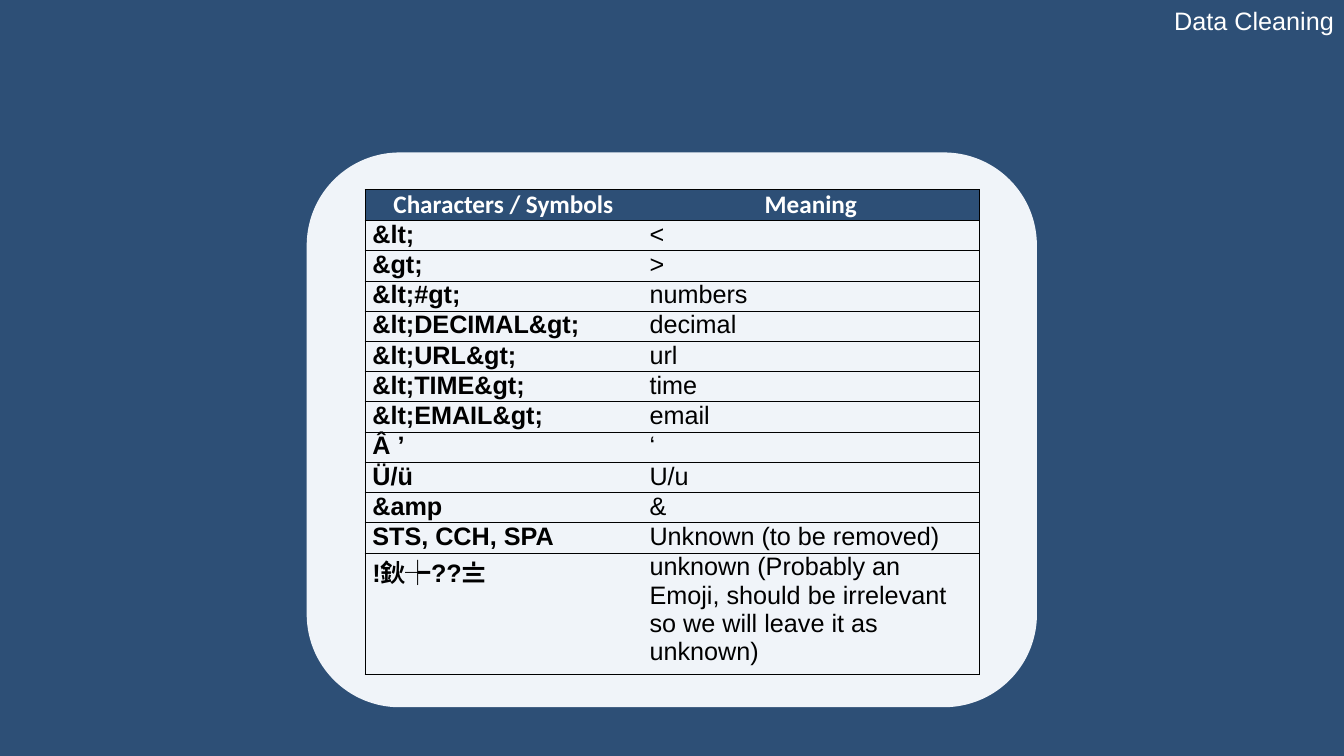
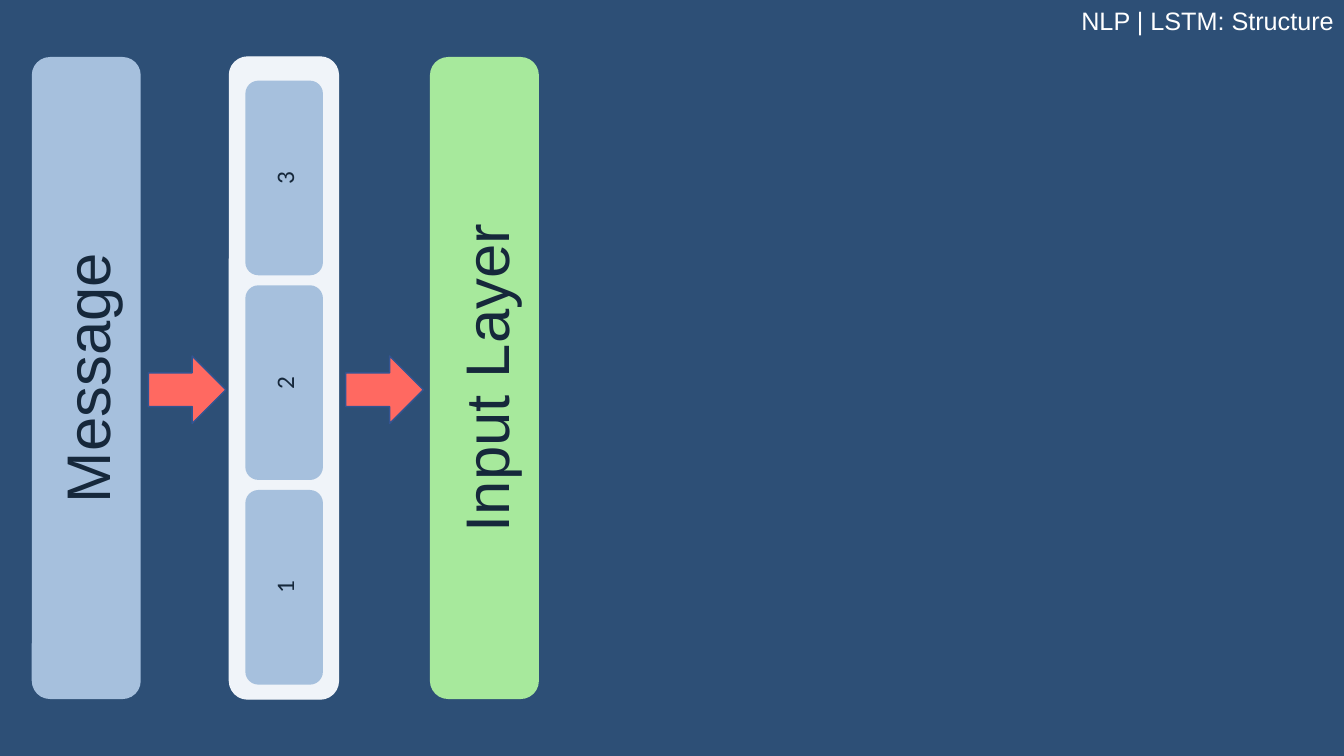
from dataclasses import dataclass

from lxml.etree import SubElement
from pptx import Presentation
from pptx.dml.color import RGBColor
from pptx.enum.shapes import MSO_SHAPE as Shape
from pptx.enum.text import MSO_ANCHOR as Anchor, MSO_AUTO_SIZE as AutoSize, PP_ALIGN as Align
from pptx.oxml.ns import qn
from pptx.util import Pt


@dataclass(frozen=True)
class Theme:
    navy: str = "2D4F76"
    pale: str = "F0F4F9"
    blue: str = "A6C0DD"
    green: str = "A7E99C"
    coral: str = "FF6961"
    edge: str = "325491"
    ink: str = "16283B"
    white: str = "FFFFFF"
    black: str = "000000"
    sans: str = "Arial"
    alt: str = "Calibri"
    body: int = 18
    large: int = 44


T = Theme()
TITLES = ["Data Cleaning", "NLP | LSTM: Structure"]
TITLE_BOX = (548.6, 0, 411.4, 29)

HEADER = ("Characters / Symbols", "Meaning")
SYMBOLS = [
    ("&lt;", "<"),
    ("&gt;", ">"),
    ("&lt;#gt;", "numbers"),
    ("&lt;DECIMAL&gt;", "decimal"),
    ("&lt;URL&gt;", "url"),
    ("&lt;TIME&gt;", "time"),
    ("&lt;EMAIL&gt;", "email"),
    ("Â ’", "‘"),
    ("Ü/ü", "U/u"),
    ("&amp", "&"),
    ("STS, CCH, SPA", "Unknown (to be removed)"),
    ("!鈥┾??〨", "unknown (Probably an Emoji, should be irrelevant so we will leave it as unknown)"),
]
CARD = (219.6, 109.4, 520.6, 395.3)
TABLE_AT = (260.6, 135.4)
COLUMNS = (198, 241.2)
ROW, LAST_ROW = 21.6, 86.4

BAR_LENGTH, BAR_WIDTH, BAR_Y = 458.6, 77.8, 270
BARS = [
    (61.6, "Message", T.blue, None),
    (202.8, "", T.pale, T.pale),
    (346, "Input Layer", T.green, None),
]
STEPS = ["3", "2", "1"]
STEP_X, STEP_Y, STEP_PITCH = 203, 127.1, 146.2
STEP_LENGTH, STEP_WIDTH = 139, 55.4
ARROW_LEFTS = (106, 247)
ARROW_TOP, ARROW_W, ARROW_H = 254.3, 55.4, 48.2


def rgb(value):
    return RGBColor.from_string(value)


def write(tf, text, size=T.body, font=T.sans, color=T.black, bold=False, align=Align.LEFT):
    p = tf.paragraphs[0]
    p.alignment = align
    r = p.add_run()
    r.text = text
    for name, value in {"size": Pt(size), "name": font, "bold": bold}.items():
        setattr(r.font, name, value)
    r.font.color.rgb = rgb(color)


def add_slide(prs, title):
    s = prs.slides.add_slide(prs.slide_layouts[5])
    sp = s.shapes.title
    for name, value in zip(("left", "top", "width", "height"), TITLE_BOX):
        setattr(sp, name, Pt(value))
    tf = sp.text_frame
    for name, value in {"word_wrap": True, "auto_size": AutoSize.NONE,
                        "vertical_anchor": Anchor.TOP}.items():
        setattr(tf, name, value)
    write(tf, title, color=T.white, align=Align.RIGHT)
    return s


def add_block(s, kind, box, fill, line=None):
    sp = s.shapes.add_shape(kind, *map(Pt, box))
    sp.shadow.inherit = False
    sp.fill.solid()
    sp.fill.fore_color.rgb = rgb(fill)
    if line:
        sp.line.color.rgb = rgb(line)
        sp.line.width = Pt(1)
    else:
        sp.line.fill.background()
    return sp


def add_upright(s, cx, cy, length, width, text, fill, line=None, **style):
    box = (cx - length / 2, cy - width / 2, length, width)
    sp = add_block(s, Shape.ROUNDED_RECTANGLE, box, fill, line)
    sp.rotation = 270
    if text:
        sp.text_frame.vertical_anchor = Anchor.MIDDLE
        write(sp.text_frame, text, color=T.ink, align=Align.CENTER, **style)


def set_borders(cell, visible):
    tc_pr = cell._tc.get_or_add_tcPr()
    for side in "LRTB":
        ln = SubElement(tc_pr, qn(f"a:ln{side}"), w=str(Pt(0.5)))
        if side in visible:
            fill = SubElement(ln, qn("a:solidFill"))
            SubElement(fill, qn("a:srgbClr"), val=T.black)
        else:
            SubElement(ln, qn("a:noFill"))


def add_symbol_table(s):
    rows = [HEADER, *SYMBOLS]
    heights = [ROW] * len(SYMBOLS) + [LAST_ROW]
    size = (sum(COLUMNS), sum(heights))
    table = s.shapes.add_table(len(rows), len(COLUMNS), *map(Pt, TABLE_AT + size)).table
    table.horz_banding = False
    for column, width in zip(table.columns, COLUMNS):
        column.width = Pt(width)
    for i, (texts, height) in enumerate(zip(rows, heights)):
        table.rows[i].height = Pt(height)
        for j, text in enumerate(texts):
            cell = table.cell(i, j)
            for name, value in {"margin_left": 5.4, "margin_right": 5.4,
                                "margin_top": 0, "margin_bottom": 0}.items():
                setattr(cell, name, Pt(value))
            set_borders(cell, "TB" + "LR"[j])
            if i == 0:
                cell.fill.solid()
                cell.fill.fore_color.rgb = rgb(T.navy)
                write(cell.text_frame, text, font=T.alt, color=T.white,
                      bold=True, align=Align.CENTER)
            else:
                cell.fill.background()
                write(cell.text_frame, text, bold=j == 0)


def build_cleaning(prs):
    s = add_slide(prs, TITLES[0])
    add_block(s, Shape.ROUNDED_RECTANGLE, CARD, T.pale, T.pale)
    add_symbol_table(s)


def build_structure(prs):
    s = add_slide(prs, TITLES[1])
    for cx, text, fill, line in BARS:
        add_upright(s, cx, BAR_Y, BAR_LENGTH, BAR_WIDTH, text, fill, line, size=T.large)
    for i, text in enumerate(STEPS):
        add_upright(s, STEP_X, STEP_Y + i * STEP_PITCH, STEP_LENGTH, STEP_WIDTH,
                    text, T.blue, font=T.alt)
    for left in ARROW_LEFTS:
        add_block(s, Shape.RIGHT_ARROW, (left, ARROW_TOP, ARROW_W, ARROW_H), T.coral, T.edge)


def main():
    prs = Presentation()
    prs.slide_width, prs.slide_height = Pt(960), Pt(540)
    background = prs.slide_master.background.fill
    background.solid()
    background.fore_color.rgb = rgb(T.navy)
    build_cleaning(prs)
    build_structure(prs)
    prs.save("out.pptx")


if __name__ == "__main__":
    main()
